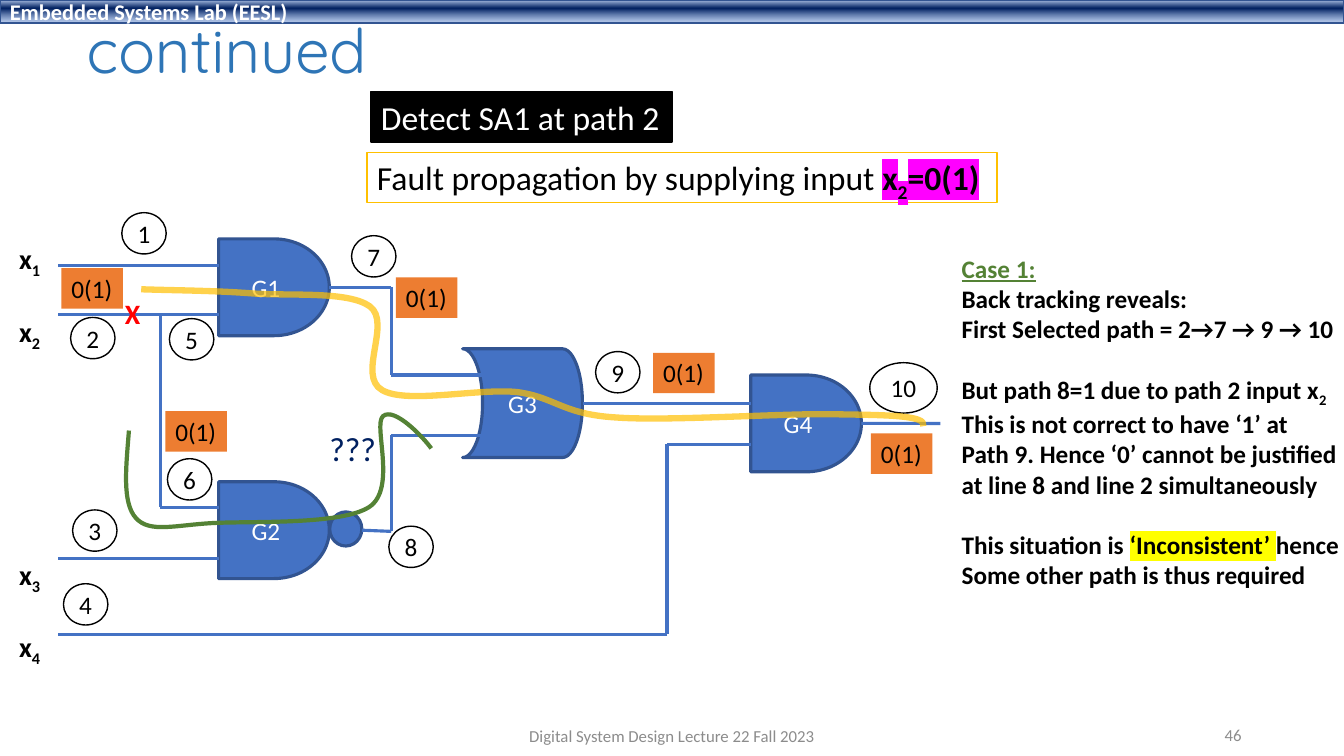
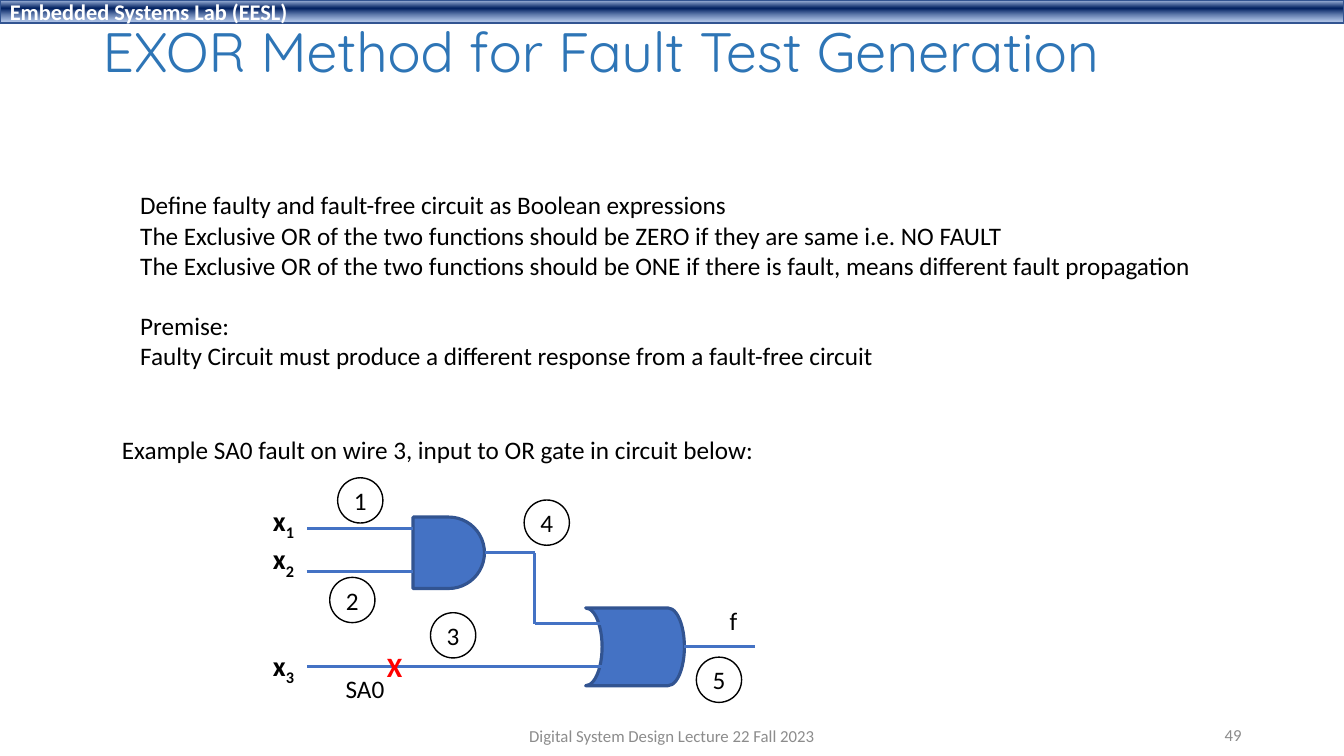
from lxml import etree
from pptx import Presentation
from pptx.dml.color import RGBColor
from pptx.enum.shapes import MSO_CONNECTOR, MSO_SHAPE
from pptx.enum.text import MSO_ANCHOR, MSO_AUTO_SIZE, PP_ALIGN
from pptx.oxml.ns import qn
from pptx.util import Cm, Pt

RECT, CIRCLE = MSO_SHAPE.RECTANGLE, MSO_SHAPE.OVAL
AND, OR = MSO_SHAPE.FLOWCHART_DELAY, MSO_SHAPE.FLOWCHART_STORED_DATA
STRAIGHT = MSO_CONNECTOR.STRAIGHT
LEFT, CENTER, RIGHT = PP_ALIGN.LEFT, PP_ALIGN.CENTER, PP_ALIGN.RIGHT
TOP, MIDDLE = MSO_ANCHOR.TOP, MSO_ANCHOR.MIDDLE
RIGHT_SIDE = 3

BLACK, WHITE, RED, NAVY = "000000", "FFFFFF", "FF0000", "002060"
BLUE, BLUE_EDGE, TITLE_BLUE = "4472C4", "325491", "2E75B6"
ORANGE, GOLD, GREEN, GREY = "ED7D31", "FFC000", "548235", "8C8C8C"
MAGENTA, YELLOW = "FF00FF", "FFFF00"
BODY_FONT, TITLE_FONT = "Calibri", "Quicksand"
FOOTER = "Digital System Design Lecture 22 Fall 2023"
BAND_STOPS = [(2, "ABC0E4", 100), (38, NAVY, 100), (93, "7E9ED6", 64)]
SUB = {"baseline": "-25000"}
rgb = RGBColor.from_string


def write(frame, lines, size=18, colour=BLACK, bold=False, align=LEFT,
          anchor=TOP, font=BODY_FONT, gaps=None):
    """Fill a frame with lines of (text, style) runs; gaps are points before a line."""
    frame.auto_size = MSO_AUTO_SIZE.NONE
    frame.vertical_anchor = anchor
    frame.word_wrap = align != CENTER
    if align == LEFT:
        frame.margin_right = 0
    for number, line in enumerate(lines):
        paragraph = frame.add_paragraph() if number else frame.paragraphs[0]
        paragraph.alignment = align
        paragraph.space_before = Pt((gaps or {}).get(number, 0))
        for text, style in line:
            run = paragraph.add_run()
            run.text = text
            run.font.size = Pt(size)
            run.font.name = font
            run.font.bold = style.get("bold", bold)
            run.font.underline = style.get("underline", False)
            run.font.color.rgb = rgb(style.get("colour", colour))
            properties = run._r.get_or_add_rPr()
            if "baseline" in style:
                properties.set("baseline", style["baseline"])
            if "highlight" in style:
                highlight = etree.Element(qn("a:highlight"))
                etree.SubElement(highlight, qn("a:srgbClr"), val=style["highlight"])
                properties.find(qn("a:solidFill")).addnext(highlight)


def add_block(slide, preset, at, lines, fill=None, edge=None, edge_width=1, **text_style):
    """Add a preset shape, or a text box when preset is None."""
    box = [Cm(length) for length in at]
    if preset is None:
        block = slide.shapes.add_textbox(*box)
    else:
        block = slide.shapes.add_shape(preset, *box)
        block.shadow.inherit = False
        if fill:
            block.fill.solid()
            block.fill.fore_color.rgb = rgb(fill)
        else:
            block.fill.background()
        if edge:
            block.line.color.rgb = rgb(edge)
            block.line.width = Pt(edge_width)
        else:
            block.line.fill.background()
    write(block.text_frame, lines, **text_style)
    return block


# Content: lengths in cm; a wire may start at the output of a numbered gate
X_MARK = {"size": 20, "colour": RED, "bold": True}
VALUE_PLACES = [(1.55, 6.76), (4.17, 10.36), (9.98, 6.99), (16.46, 8.89), (21.95, 10.92)]

path_slide = {
    "number": "46",
    "title": ("continued", 44, (1.93, 0.32, 29.21, 2.06)),
    "body_at": (23.98, 6.25, 9.88, 8.71),
    "body_bold": True,
    "body_gaps": {3: 21.6, 7: 21.6},
    "body": [
        [("Case 1:", {"colour": GREEN, "underline": True})],
        [("Back tracking reveals:", {})],
        [("First Selected path = 2→7 → 9 → 10", {})],
        [("But path 8=1 due to path 2 input x", {}), ("2", SUB)],
        [("This is not correct to have ‘1’ at", {})],
        [("Path 9. Hence ‘0’ cannot be justified", {})],
        [("at line 8 and line 2 simultaneously", {})],
        [("This situation is ", {}), ("‘Inconsistent’ ", {"highlight": YELLOW}), ("hence", {})],
        [("Some other path is thus required", {})],
    ],
    "gates": [
        (AND, (5.51, 6.02, 2.79, 2.44), "G1"),
        (AND, (5.51, 12.14, 2.79, 2.44), "G2"),
        (OR, (11.66, 8.79, 3.02, 2.74), "G3"),
        (AND, (18.92, 9.45, 2.79, 2.44), "G4"),
        (CIRCLE, (8.31, 12.9, 0.81, 0.86), ""),
    ],
    "wires": [
        (0, [(8.3, 7.24), (9.86, 7.24), (9.86, 9.45), (12.14, 9.45)]),
        (None, [(9.12, 13.36), (9.86, 13.39), (9.86, 10.97), (12.14, 10.97)]),
        (None, [(14.68, 10.16), (18.92, 10.16)]),
        (3, [(21.71, 10.67), (23.7, 10.67)]),
        (None, [(18.92, 11.2), (16.81, 11.2), (16.81, 15.98), (1.45, 15.98)]),
        (None, [(5.51, 14.07), (1.45, 14.07)]),
        (None, [(4.04, 7.92), (4.04, 12.78), (5.51, 12.78)]),
        (None, [(5.51, 7.92), (1.45, 7.92)]),
        (None, [(5.51, 6.68), (1.45, 6.68)]),
    ],
    "inputs_at": (0.23, 5.97, 1.09, 10.52),
    "input_gaps": {1: 24.4, 2: 146.4, 3: 24.4},
    "circle_size": (1.12, 1.04),
    "circles": [
        ("1", 3.07, 5.36), ("2", 1.78, 8), ("3", 1.83, 12.85), ("4", 1.6, 14.71),
        ("5", 4.27, 8.03), ("6", 4.22, 11.56), ("7", 8.86, 5.94),
        ("8", 9.8, 13.26), ("9", 15.01, 8.86),
    ],
    "captions": [
        (RECT, (9.35, 2.31, 7.59, 1.27), [("Detect SA1 at path 2", {})],
         {"fill": BLACK, "edge": BLACK, "size": 24, "colour": WHITE}),
        (RECT, (9.25, 3.84, 15.88, 1.27),
         [("Fault propagation by supplying input ", {}),
          ("x", {"bold": True, "highlight": MAGENTA}),
          ("2", {"bold": True, "highlight": MAGENTA, **SUB}),
          ("=0(1)", {"bold": True, "highlight": MAGENTA})],
         {"fill": WHITE, "edge": GOLD, "size": 24}),
        (CIRCLE, (21.92, 9.14, 1.7, 1.27), [("10", {})],
         {"edge": BLACK, "align": CENTER, "anchor": MIDDLE}),
        (None, (2.9, 7.34, 0.91, 1.12), [("X", {})], X_MARK),
        (None, (8.05, 10.67, 1.7, 1.27), [("???", {})], {"size": 24, "colour": NAVY}),
    ] + [(RECT, (left, top, 1.55, 1.02), [("0(1)", {})], {"fill": ORANGE})
         for left, top in VALUE_PLACES],
    # Each curve: colour, width, opacity, start, then three points per cubic segment
    "curves": [
        (GOLD, 4.5, 70, (3.56, 7.29), [
            (4.45, 7.32), (5.33, 7.32), (6.3, 7.39),
            (7.26, 7.47), (8.76, 7.32), (9.32, 7.72),
            (9.88, 8.13), (8.99, 9.47), (9.63, 9.83),
            (10.24, 10.19), (12.04, 9.78), (13.03, 9.88),
            (14, 10.01), (14.17, 10.44), (15.52, 10.52),
            (16.84, 10.62), (19.74, 10.41), (21.03, 10.44),
            (22.33, 10.46), (23.37, 10.46), (23.27, 10.74),
        ]),
        (GREEN, 3, 100, (3.25, 10.85), [
            (3.18, 11.76), (3.07, 12.67), (3.43, 13.06),
            (3.78, 13.44), (4.42, 13.23), (5.38, 13.18),
            (6.38, 13.13), (8.59, 13.23), (9.3, 12.78),
            (10.01, 12.32), (9.4, 10.72), (9.65, 10.49),
            (9.93, 10.24), (10.67, 11.02), (10.87, 11.3),
        ]),
    ],
}

exor_slide = {
    "number": "49",
    "title": ("EXOR Method for Fault Test Generation", 39.6, (2.33, 0.4, 29.21, 1.96)),
    "body_at": (3.28, 4.65, 27.33, 4.88),
    "body_bold": False,
    "body_gaps": {3: 21.6},
    "body": [
        [("Define faulty and fault-free circuit as Boolean expressions", {})],
        [("The Exclusive OR of the two functions should be ZERO if they are same "
          "i.e. NO FAULT", {})],
        [("The Exclusive OR of the two functions should be ONE if there is fault, "
          "means different fault propagation", {})],
        [("Premise:", {})],
        [("Faulty Circuit must produce a different response from a fault-free circuit", {})],
    ],
    "gates": [
        (AND, (10.41, 13.03, 1.8, 1.8), ""),
        (OR, (14.76, 15.32, 2.49, 1.96), ""),
    ],
    "wires": [
        (None, [(7.74, 13.31), (10.41, 13.31)]),
        (None, [(7.73, 14.4), (10.4, 14.4)]),
        (None, [(7.74, 16.79), (15.24, 16.79)]),
        (0, [(12.21, 13.93), (13.48, 13.93), (13.48, 15.72), (15.24, 15.72)]),
        (None, [(17.25, 16.3), (19.02, 16.3)]),
    ],
    "inputs_at": (6.63, 12.57, 1.09, 4.52),
    "input_gaps": {2: 48.8},
    "circle_size": (1.14, 1.14),
    "circles": [
        ("1", 8.51, 12.04), ("2", 8.31, 14.55), ("3", 10.85, 15.44),
        ("4", 13.21, 12.6), ("5", 17.55, 16.56),
    ],
    "captions": [
        (None, (2.82, 10.82, 16.64, 1.02),
         [("Example SA0 fault on wire 3, input to OR gate in circuit below:", {})], {}),
        (None, (9.5, 16.23, 0.91, 1.12), [("X", {})], X_MARK),
        (None, (8.46, 16.84, 1.5, 1.02), [("SA0", {})], {}),
        (None, (18.14, 15.14, 0.71, 1.02), [("f", {})], {}),
    ],
    "curves": [],
}

prs = Presentation()
prs.slide_width, prs.slide_height = Cm(33.87), Cm(19.05)
layout = prs.slide_layouts[1]
slides = [(prs.slides.add_slide(layout), content) for content in (path_slide, exor_slide)]

# Shared band: drawn once, then moved to the master
band = add_block(slides[0][0], RECT, (0, 0, 33.87, 0.58),
                 [[("Embedded Systems Lab (EESL)", {})]], edge=BLUE_EDGE,
                 size=16, colour=WHITE, bold=True, anchor=MIDDLE)
band.fill.gradient()
band.fill.gradient_angle = 270
stops = band.element.spPr.find(qn("a:gradFill")).find(qn("a:gsLst"))
for old_stop in list(stops):
    stops.remove(old_stop)
for position, colour, opacity in BAND_STOPS:
    stop = etree.SubElement(stops, qn("a:gs"), pos=str(position * 1000))
    stop_colour = etree.SubElement(stop, qn("a:srgbClr"), val=colour)
    etree.SubElement(stop_colour, qn("a:alpha"), val=str(opacity * 1000))
prs.slide_master.shapes.element.insert(2, band.element)

for slide, content in slides:
    # Title
    title_text, title_size, title_at = content["title"]
    title = slide.shapes.title
    title.left, title.top, title.width, title.height = [Cm(length) for length in title_at]
    write(title.text_frame, [[(title_text, {})]], title_size, TITLE_BLUE,
          anchor=MIDDLE, font=TITLE_FONT)
    title.text_frame.paragraphs[0].line_spacing = 0.9

    # Explanation, without bullets
    body = slide.placeholders[1]
    body.left, body.top, body.width, body.height = [Cm(length) for length in content["body_at"]]
    write(body.text_frame, content["body"], bold=content["body_bold"],
          gaps=content["body_gaps"])
    for paragraph in body.text_frame.paragraphs:
        paragraph_properties = paragraph._p.get_or_add_pPr()
        paragraph_properties.set("marL", "0")
        paragraph_properties.set("indent", "0")
        etree.SubElement(paragraph_properties, qn("a:buNone"))

    # Gates; the OR symbol faces right
    gates = []
    for preset, at, gate_name in content["gates"]:
        gate = add_block(slide, preset, at, [[(gate_name, {})]] if gate_name else [],
                         fill=BLUE, edge=BLUE_EDGE, edge_width=2.25,
                         colour=WHITE, align=CENTER, anchor=MIDDLE)
        if preset == OR:
            gate.element.spPr.find(qn("a:xfrm")).set("flipH", "1")
        gates.append(gate)

    # Wires
    for source, points in content["wires"]:
        for step, (start, end) in enumerate(zip(points, points[1:])):
            wire = slide.shapes.add_connector(
                STRAIGHT, *[Cm(length) for length in start + end])
            wire.line.color.rgb = rgb(BLUE)
            wire.line.width = Pt(2.25)
            etree.SubElement(wire.element.spPr, qn("a:effectLst"))
            if source is not None and step == 0:
                wire.begin_connect(gates[source], RIGHT_SIDE)

    # Input names and wire numbers
    input_count = len(content["input_gaps"]) + 1 if content["curves"] else 3
    add_block(slide, None, content["inputs_at"],
              [[("x", {}), (str(number), SUB)] for number in range(1, input_count + 1)],
              size=20, bold=True, gaps=content["input_gaps"])
    for number, left, top in content["circles"]:
        add_block(slide, CIRCLE, (left, top, *content["circle_size"]),
                  [[(number, {})]], edge=BLACK, align=CENTER, anchor=MIDDLE)

    # Captions and signal values
    for preset, at, line, style in content["captions"]:
        add_block(slide, preset, at, [line], **style)

    # Propagation curves: every three line points become one cubic segment
    for colour, width, opacity, start, points in content["curves"]:
        outline = slide.shapes.build_freeform(Cm(start[0]), Cm(start[1]))
        outline.add_line_segments([(Cm(x), Cm(y)) for x, y in points], close=False)
        curve = outline.convert_to_shape()
        route = next(curve.element.spPr.iter(qn("a:path")))
        corners = route.findall(qn("a:lnTo"))
        for first in range(0, len(corners), 3):
            cubic = etree.SubElement(route, qn("a:cubicBezTo"))
            for corner in corners[first:first + 3]:
                cubic.append(corner[0])
                route.remove(corner)
        curve.shadow.inherit = False
        curve.fill.background()
        curve.line.color.rgb = rgb(colour)
        curve.line.width = Pt(width)
        line_colour = next(curve.element.spPr.find(qn("a:ln")).iter(qn("a:srgbClr")))
        etree.SubElement(line_colour, qn("a:alpha"), val=str(opacity * 1000))

    # Footer and slide number
    add_block(slide, None, (11.22, 18.03, 11.43, 1.02), [[(FOOTER, {})]],
              size=12, colour=GREY, align=CENTER, anchor=MIDDLE)
    add_block(slide, None, (23.92, 18.01, 7.62, 1.02), [[(content["number"], {})]],
              size=12, colour=GREY, align=RIGHT, anchor=MIDDLE)

prs.save("out.pptx")
